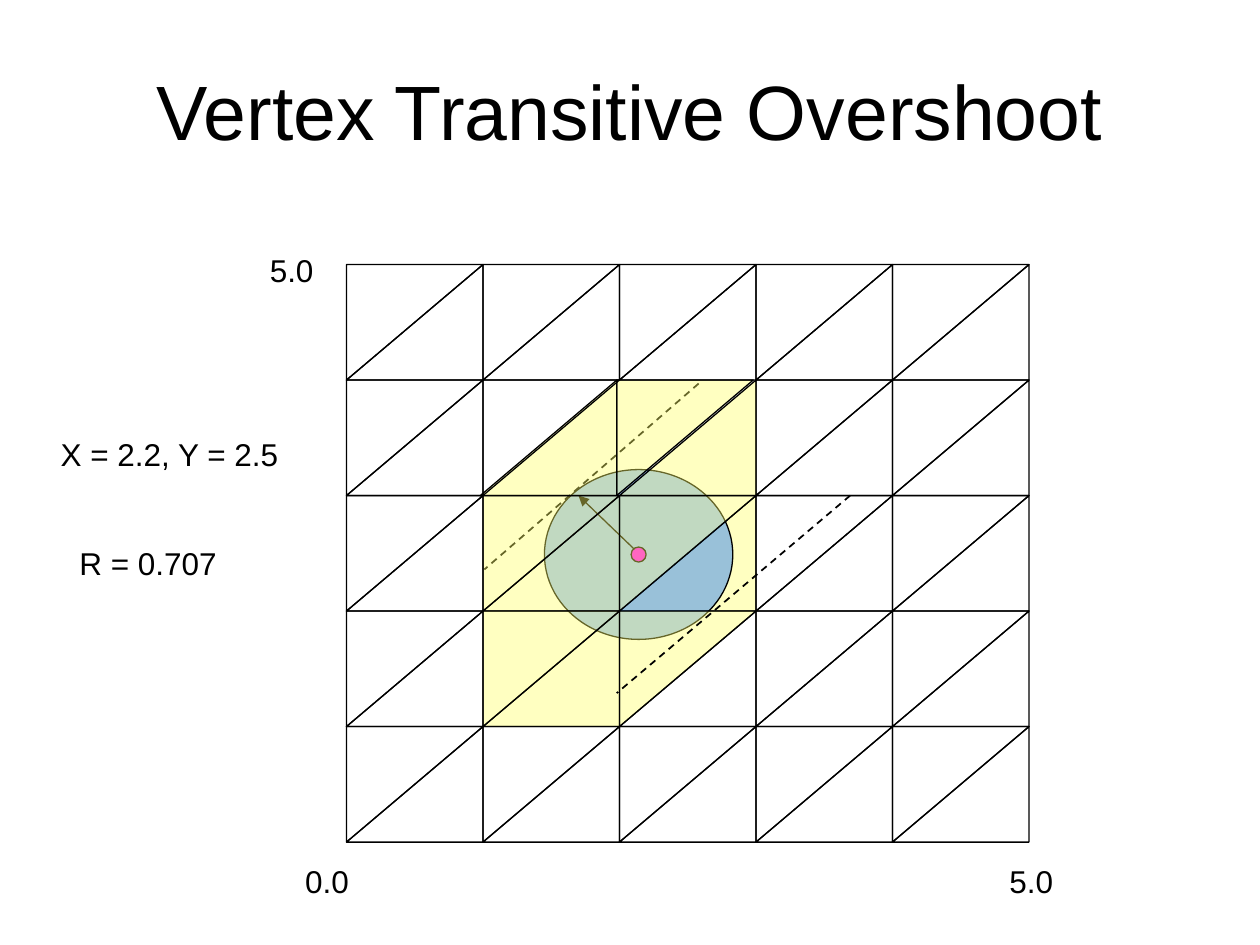
"""Build the Vertex Transitive Overshoot slide: a triangle mesh with a circle of influence."""
import pptx
import pptx.dml.color
import pptx.enum.dml
import pptx.enum.shapes
import pptx.enum.text
import pptx.oxml.ns
import pptx.util
from lxml import etree

COLOURS = {"ink": "000000", "covered": "FFFF66", "circle": "0066FF", "vertex": "FF00FF"}
KINDS = pptx.enum.shapes.MSO_SHAPE
MESH_SIZE = 5
UPPER_LEFT, LOWER_RIGHT = 90, 270

deck = pptx.Presentation()
deck.slide_width = pptx.util.Inches(10)
deck.slide_height = pptx.util.Inches(7.5)
page = deck.slides.add_slide(deck.slide_layouts[6])

mesh_left, mesh_top = deck.slide_width * 0.275, deck.slide_height * 0.28
column = deck.slide_width * 0.65 / 6
row = deck.slide_height * 0.55 / 4.5


def write_text(text, left, top, width, height, size=18, anchor="TOP"):
    """Add a centred text box placed in percent of the slide."""
    box = page.shapes.add_textbox(
        int(deck.slide_width * left / 100), int(deck.slide_height * top / 100),
        int(deck.slide_width * width / 100), int(deck.slide_height * height / 100))
    box.text_frame.word_wrap = True
    box.text_frame.vertical_anchor = pptx.enum.text.MSO_ANCHOR[anchor]
    para = box.text_frame.paragraphs[0]
    para.alignment = pptx.enum.text.PP_ALIGN.CENTER
    span = para.add_run()
    span.text = text
    span.font.name = "Arial"
    span.font.size = pptx.util.Pt(size)
    span.font.color.rgb = pptx.dml.color.RGBColor.from_string(COLOURS["ink"])


write_text("Vertex Transitive Overshoot", 5, 3.33, 90, 16.67, size=44, anchor="MIDDLE")

covered_halves = {
    (1, 1, LOWER_RIGHT), (2, 1, UPPER_LEFT), (2, 1, LOWER_RIGHT),
    (1, 2, UPPER_LEFT), (1, 2, LOWER_RIGHT), (2, 2, UPPER_LEFT),
    (1, 3, UPPER_LEFT), (1, 3, LOWER_RIGHT), (2, 3, UPPER_LEFT)}
nudged_halves = {(2, 1, UPPER_LEFT), (1, 1, LOWER_RIGHT)}
overshoot_half = (2, 2, LOWER_RIGHT)
triangle_size = (row / column, column / row)

pieces = [
    ("triangle", (2.5, 2.5), triangle_size, "covered", LOWER_RIGHT),
    ("ellipse", (2.14, 2.51), (1.38, 1.47), "circle", 0),
    ("arrow", (2.14, 2.5), (1.7, 2), "ink", 0),
    ("ellipse", (2.14, 2.51), (0.11, 0.13), "vertex", 0),
    ("dash", (2.58, 1.03), (1.01, 2.64), "ink", 0),
]
for mesh_row in (2, 1, 4, 0, 3):
    for mesh_column in reversed(range(MESH_SIZE)):
        for turn in (LOWER_RIGHT, UPPER_LEFT):
            half = (mesh_column, mesh_row, turn)
            if half == overshoot_half:
                continue
            nudge = 0.02 if half in nudged_halves else 0
            centre = (mesh_column + 0.5 - nudge, mesh_row + 0.5)
            fill = "covered" if half in covered_halves else None
            pieces.append(("triangle", centre, triangle_size, fill, turn))
pieces.append(("dash", (3.69, 2), (1.98, 3.71), "ink", 0))

for kind, (x, y), (across, down), fill, turn in pieces:
    if kind in ("arrow", "dash"):
        piece = page.shapes.add_connector(
            pptx.enum.shapes.MSO_CONNECTOR.STRAIGHT,
            int(mesh_left + x * column), int(mesh_top + y * row),
            int(mesh_left + across * column), int(mesh_top + down * row))
        etree.SubElement(piece.line._get_or_add_ln().getparent(), pptx.oxml.ns.qn("a:effectLst"))
    else:
        piece = page.shapes.add_shape(
            KINDS.RIGHT_TRIANGLE if kind == "triangle" else KINDS.OVAL,
            int(mesh_left + (x - across / 2) * column), int(mesh_top + (y - down / 2) * row),
            int(across * column), int(down * row))
        piece.shadow.inherit = False
        piece.rotation = turn
        if fill is None:
            piece.fill.background()
        else:
            piece.fill.solid()
            piece.fill.fore_color.rgb = pptx.dml.color.RGBColor.from_string(COLOURS[fill])
        if fill in ("covered", "circle"):
            colour = piece._element.spPr.find(".//" + pptx.oxml.ns.qn("a:srgbClr"))
            etree.SubElement(colour, pptx.oxml.ns.qn("a:alpha"), val="40000")
    piece.line.color.rgb = pptx.dml.color.RGBColor.from_string(COLOURS["ink"])
    piece.line.width = pptx.util.Pt(1 if kind == "dash" else 0.75)
    if kind == "dash":
        piece.line.dash_style = pptx.enum.dml.MSO_LINE.DASH
    if kind == "arrow":
        etree.SubElement(piece.line._get_or_add_ln(), pptx.oxml.ns.qn("a:tailEnd"), type="triangle")

for text, left, top, width in (
        ("0.0", 20.4, 90.53, 11.1),
        ("5.0", 17.6, 25.87, 11.1),
        ("5.0", 76.3, 90.53, 11.1),
        ("X = 2.2, Y = 2.5", 3.2, 45.33, 20.5),
        ("R = 0.707", 3.2, 56.93, 17.1)):
    write_text(text, left, top, width, 5.33)

deck.save("out.pptx")
